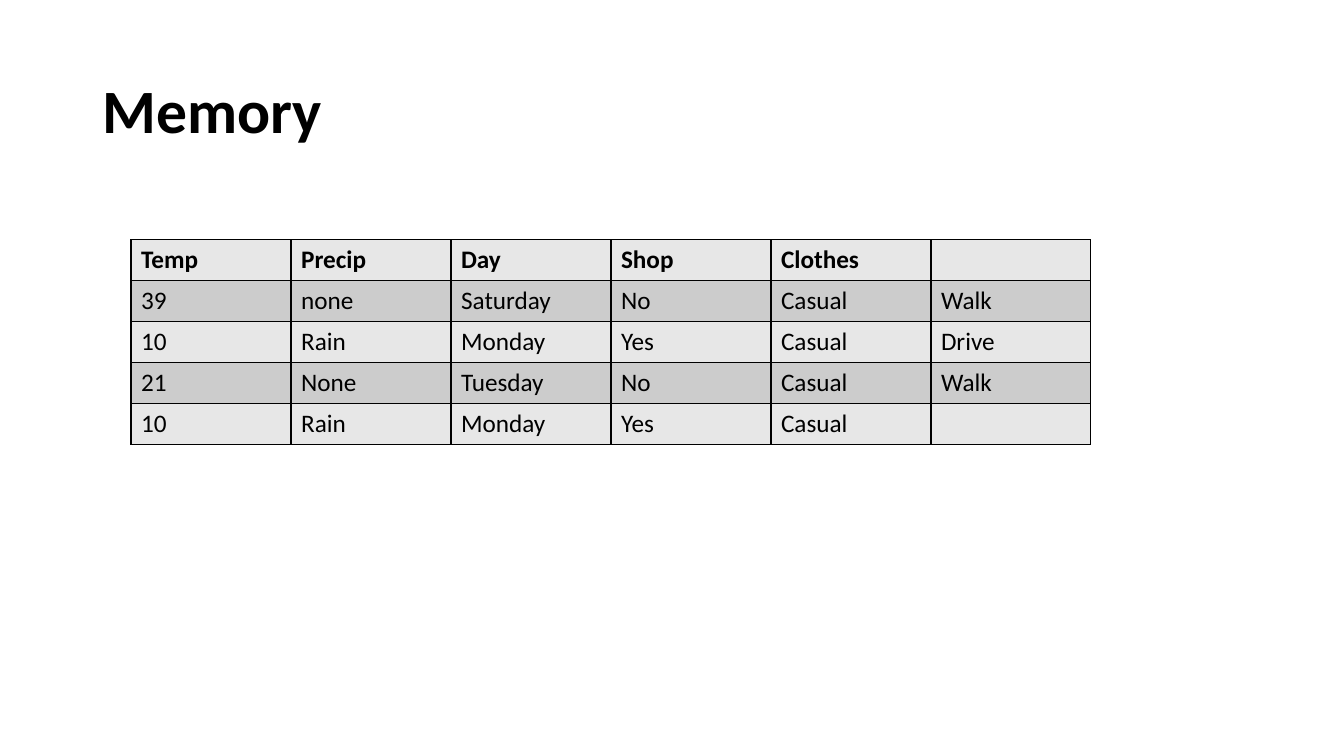
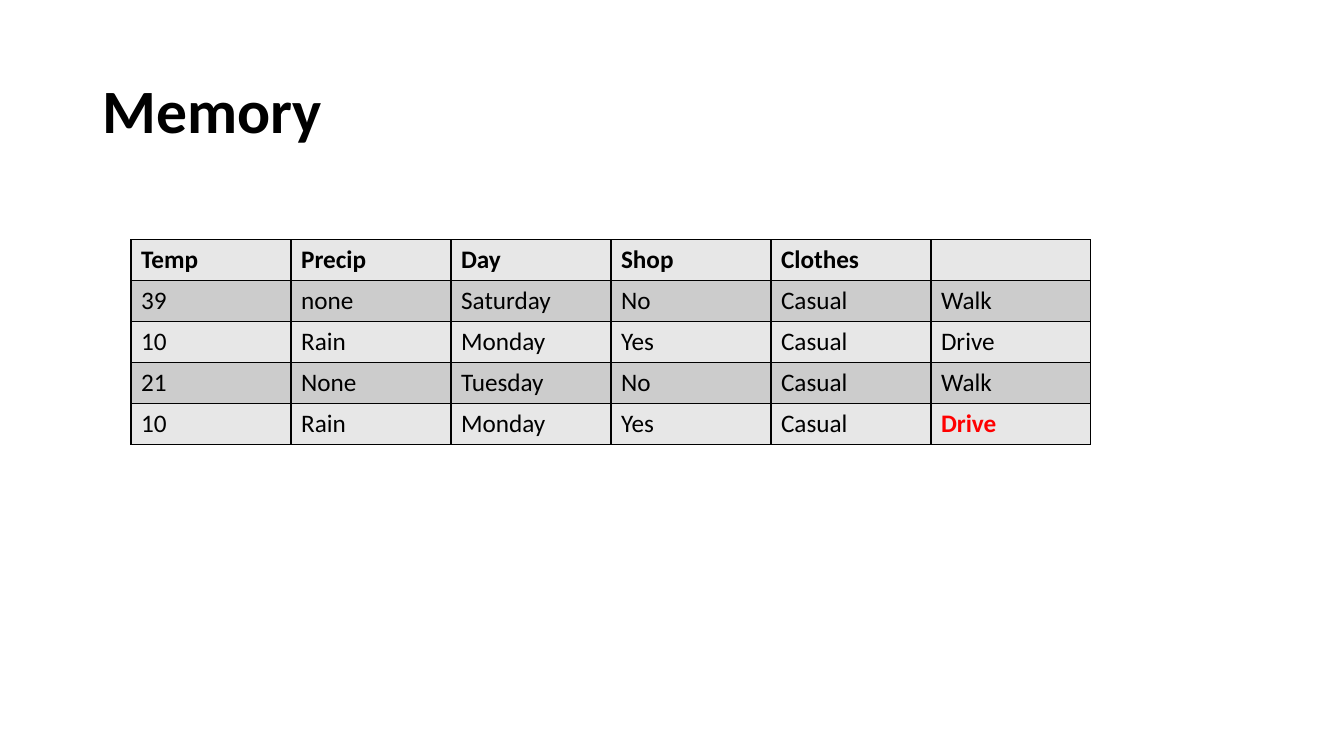
from pptx import Presentation
from pptx.dml.color import RGBColor
from pptx.enum.text import MSO_ANCHOR
from pptx.oxml import parse_xml
from pptx.oxml.ns import nsdecls
from pptx.util import Inches, Pt

FONT = "Calibri"
BLACK = RGBColor(0x00, 0x00, 0x00)
RED = RGBColor(0xFF, 0x00, 0x00)
LIGHT_GREY = RGBColor(0xE7, 0xE7, 0xE7)
MID_GREY = RGBColor(0xCC, 0xCC, 0xCC)

HEADER = ("Temp", "Precip", "Day", "Shop", "Clothes", "")
PAST_DAYS = (
    ("39", "none", "Saturday", "No", "Casual", "Walk"),
    ("10", "Rain", "Monday", "Yes", "Casual", "Drive"),
    ("21", "None", "Tuesday", "No", "Casual", "Walk"),
)
NEW_DAY = ("10", "Rain", "Monday", "Yes", "Casual")


def write_text(frame, text, size=18, bold=False, color=BLACK, line_spacing=None):
    paragraph = frame.paragraphs[0]
    paragraph.line_spacing = line_spacing
    if not text:
        return
    run = paragraph.add_run()
    run.text = text
    run.font.name = FONT
    run.font.size = Pt(size)
    run.font.bold = bold
    run.font.color.rgb = color


def add_title(slide, text):
    frame = slide.shapes.add_textbox(
        Inches(0.92), Inches(0.4), Inches(11.5), Inches(1.45)
    ).text_frame
    frame.word_wrap = True
    frame.vertical_anchor = MSO_ANCHOR.MIDDLE
    write_text(frame, text, size=44, bold=True, line_spacing=0.9)


def add_borders(cell):
    properties = cell._tc.get_or_add_tcPr()
    for side in ("lnL", "lnR", "lnT", "lnB"):
        properties.append(parse_xml(
            f'<a:{side} {nsdecls("a")} w="{Pt(1)}"><a:solidFill>'
            f'<a:srgbClr val="{BLACK}"/></a:solidFill></a:{side}>'
        ))


def add_memory_table(slide, decision):
    rows = (HEADER, *PAST_DAYS, (*NEW_DAY, decision))
    table = slide.shapes.add_table(
        len(rows), len(HEADER),
        Inches(1.3), Inches(2.38), Inches(9.52), Inches(2.03),
    ).table
    for row_index, row in enumerate(rows):
        for column_index, text in enumerate(row):
            cell = table.cell(row_index, column_index)
            # The recalled decision is the only highlighted value
            recalled = (row_index == len(rows) - 1
                        and column_index == len(HEADER) - 1)
            add_borders(cell)
            cell.fill.solid()
            cell.fill.fore_color.rgb = MID_GREY if row_index % 2 else LIGHT_GREY
            write_text(cell.text_frame, text,
                       bold=row_index == 0 or recalled,
                       color=RED if recalled else BLACK)


def main():
    presentation = Presentation()
    presentation.slide_width = Inches(13.33)
    presentation.slide_height = Inches(7.5)
    blank = presentation.slide_layouts[6]

    # The open question first, then its answer
    for decision in ("", "Drive"):
        slide = presentation.slides.add_slide(blank)
        add_title(slide, "Memory")
        add_memory_table(slide, decision)

    presentation.save("out.pptx")


if __name__ == "__main__":
    main()
